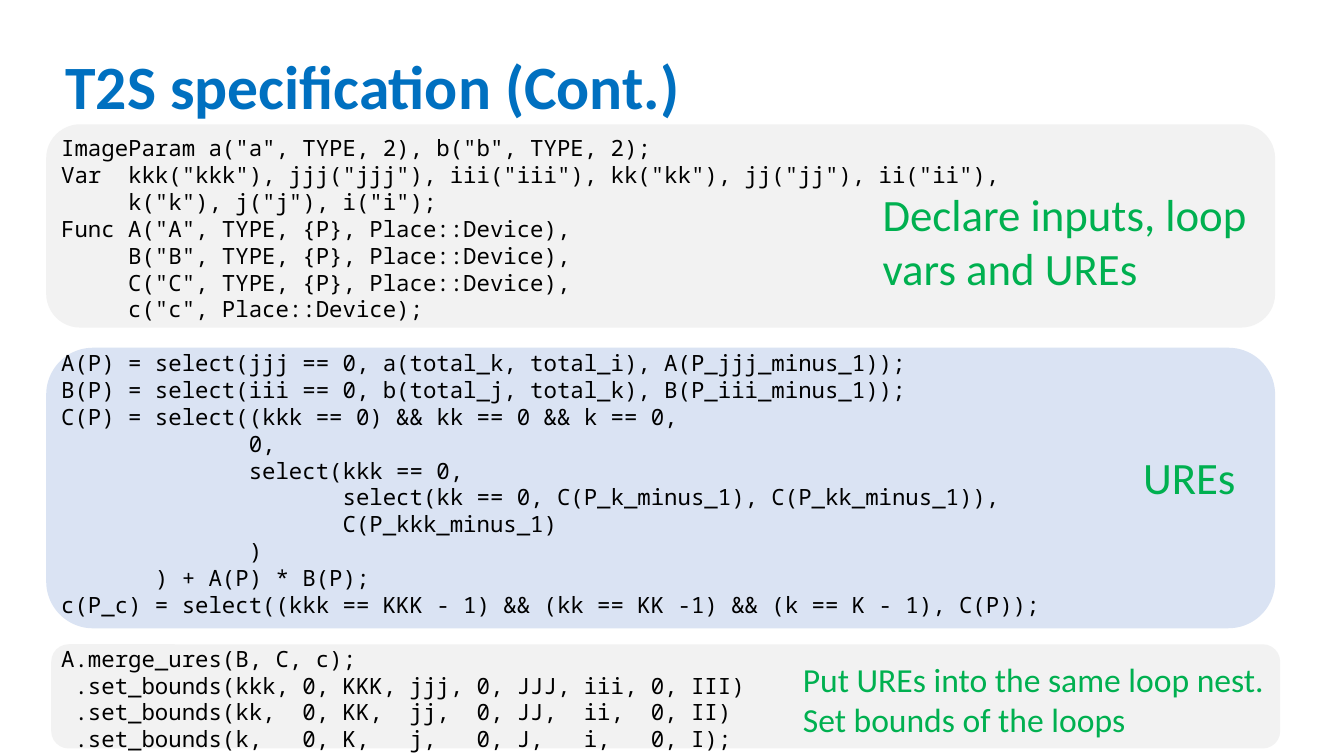
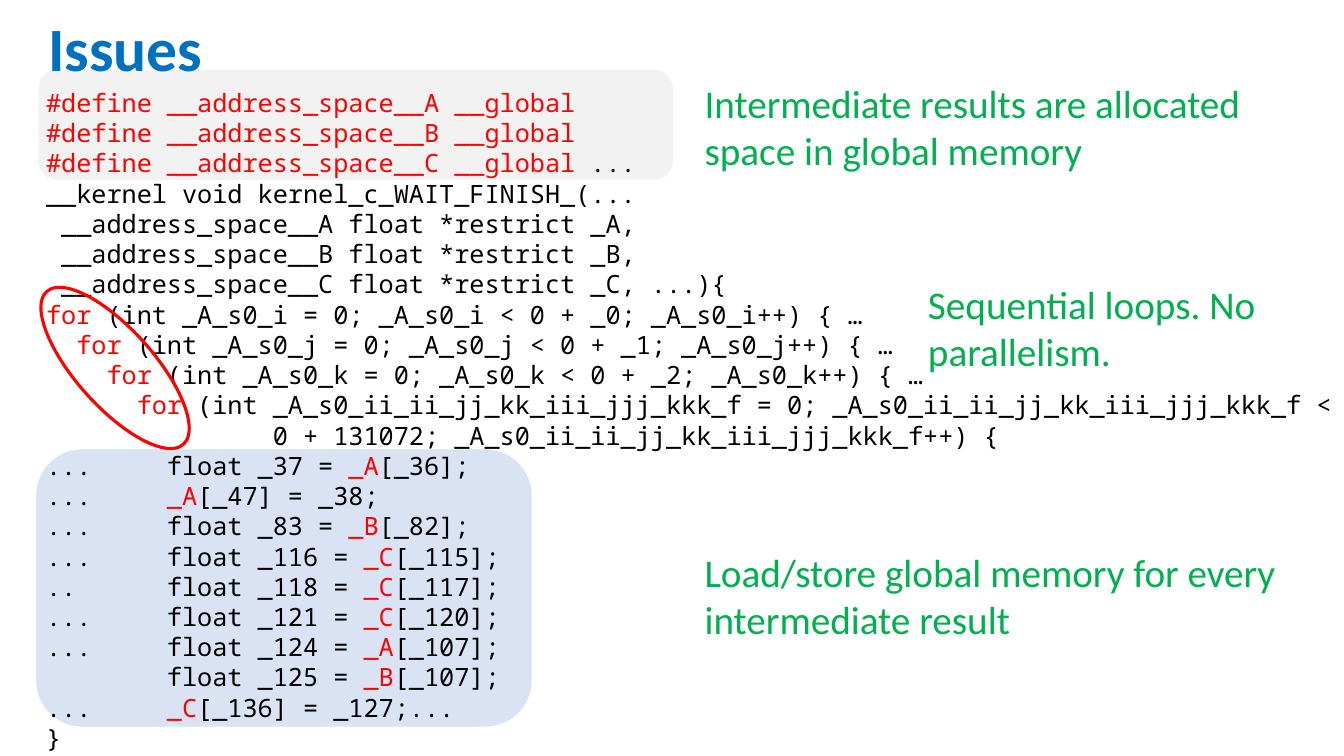
import pptx
import pptx.util
import pptx.dml.color
import pptx.enum.shapes
import pptx.enum.text

Pt = pptx.util.Pt
Kind = pptx.enum.shapes.MSO_SHAPE
Anchor = pptx.enum.text.MSO_ANCHOR


class Theme:
    sans, mono = "Calibri", "Noto Sans Mono"
    blue, green, red, black = "0070C0", "00B050", "FF0000", "000000"
    grey, pale = "F2F2F2", "DAE3F3"
    title, big, mid, small = 44, 32, 28, 24
    pitch = 1.2  # code line height, in type sizes
    mark = "§"  # switches code between black and red


class Deck:
    cols, rows = 160, 90

    def __init__(self):
        self.prs = pptx.Presentation()
        self.prs.slide_width = pptx.util.Inches(13.33)
        self.prs.slide_height = pptx.util.Inches(7.5)
        self.slide = None

    def place(self, x, y, w, h):
        """Turn columns and rows into slide lengths."""
        col = self.prs.slide_width / self.cols
        row = self.prs.slide_height / self.rows
        return [round(n) for n in (x * col, y * row, w * col, h * row)]

    def tint(self, color):
        return pptx.dml.color.RGBColor.from_string(color)

    def run(self, para, text, size, color, face=Theme.sans, bold=False):
        run = para.add_run()
        run.text = text
        font = run.font
        font.name, font.size, font.bold = face, Pt(size), bold
        font.color.rgb = self.tint(color)

    def box(self, at, lines):
        """Add a wrapped text box and return its frame and paragraphs."""
        frame = self.slide.shapes.add_textbox(*self.place(*at)).text_frame
        frame.word_wrap = True
        paras = [frame.paragraphs[0]]
        paras += [frame.add_paragraph() for _ in lines[1:]]
        return frame, paras

    def page(self):
        self.slide = self.prs.slides.add_slide(self.prs.slide_layouts[6])

    def title(self, at, text):
        frame, paras = self.box(at, [text])
        frame.vertical_anchor = Anchor.MIDDLE
        paras[0].line_spacing = 0.9
        self.run(paras[0], text, Theme.title, Theme.blue, bold=True)

    def panel(self, at, fill):
        shape = self.slide.shapes.add_shape(Kind.ROUNDED_RECTANGLE, *self.place(*at))
        shape.shadow.inherit = False
        shape.fill.solid()
        shape.fill.fore_color.rgb = self.tint(fill)
        shape.line.fill.background()

    def ring(self, at, turn):
        shape = self.slide.shapes.add_shape(Kind.OVAL, *self.place(*at))
        shape.shadow.inherit = False
        shape.rotation = turn
        shape.fill.background()
        shape.line.color.rgb = self.tint(Theme.red)
        shape.line.width = Pt(2.25)

    def note(self, at, size, *lines):
        _, paras = self.box(at, lines)
        for para, line in zip(paras, lines):
            self.run(para, line, size, Theme.green)

    def code(self, at, size, parts, gap=0):
        """Set code parts in one box, with a gap in lines between parts."""
        pitch = Pt(size * Theme.pitch)
        lines = [(line, part > 0 and row == 0)
                 for part, text in enumerate(parts)
                 for row, line in enumerate(text.strip("\n").split("\n"))]
        frame, paras = self.box(at, lines)
        frame.margin_right = 0
        for para, (line, first) in zip(paras, lines):
            para.line_spacing = pitch
            if first and gap:
                para.space_before = pitch * gap
            for turn, text in enumerate(line.split(Theme.mark)):
                if text:
                    color = Theme.red if turn % 2 else Theme.black
                    self.run(para, text, size, color, Theme.mono)


# Code shown on the first slide
DECLARE = """
ImageParam a("a", TYPE, 2), b("b", TYPE, 2);
Var  kkk("kkk"), jjj("jjj"), iii("iii"), kk("kk"), jj("jj"), ii("ii"),
     k("k"), j("j"), i("i");
Func A("A", TYPE, {P}, Place::Device),
     B("B", TYPE, {P}, Place::Device),
     C("C", TYPE, {P}, Place::Device),
     c("c", Place::Device);
"""
URES = """
A(P) = select(jjj == 0, a(total_k, total_i), A(P_jjj_minus_1));
B(P) = select(iii == 0, b(total_j, total_k), B(P_iii_minus_1));
C(P) = select((kkk == 0) && kk == 0 && k == 0,
              0,
              select(kkk == 0,
                     select(kk == 0, C(P_k_minus_1), C(P_kk_minus_1)),
                     C(P_kkk_minus_1)
              )
       ) + A(P) * B(P);
c(P_c) = select((kkk == KKK - 1) && (kk == KK -1) && (k == K - 1), C(P));
"""
BOUNDS = """
A.merge_ures(B, C, c);
 .set_bounds(kkk, 0, KKK, jjj, 0, JJJ, iii, 0, III)
 .set_bounds(kk,  0, KK,  jj,  0, JJ,  ii,  0, II)
 .set_bounds(k,   0, K,   j,   0, J,   i,   0, I);
"""

# Code shown on the second slide
KERNEL = """
§#define __address_space__A __global§
§#define __address_space__B __global§
§#define __address_space__C __global §...
__kernel void kernel_c_WAIT_FINISH_(...
 __address_space__A float *restrict _A,
 __address_space__B float *restrict _B,
 __address_space__C float *restrict _C, ...){
"""
LOOPS = """
§for§ (int _A_s0_i = 0; _A_s0_i < 0 + _0; _A_s0_i++) { …
  §for§ (int _A_s0_j = 0; _A_s0_j < 0 + _1; _A_s0_j++) { …
    §for§ (int _A_s0_k = 0; _A_s0_k < 0 + _2; _A_s0_k++) { …
      §for§ (int _A_s0_ii_ii_jj_kk_iii_jjj_kkk_f = 0; _A_s0_ii_ii_jj_kk_iii_jjj_kkk_f <
               0 + 131072; _A_s0_ii_ii_jj_kk_iii_jjj_kkk_f++) {
"""
LOADS = """
...     float _37 = §_A§[_36];
...     §_A§[_47] = _38;
...     float _83 = §_B§[_82];
...     float _116 = §_C§[_115];
..      float _118 = §_C§[_117];
...     float _121 = §_C§[_120];
...     float _124 = §_A§[_107];
        float _125 = §_B§[_107];
...     §_C§[_136] = _127;...
}
"""


def specs(deck):
    deck.page()
    deck.panel((5.5, 14.8, 146.3, 24.2), Theme.grey)
    deck.panel((5.5, 41.4, 146.3, 33.4), Theme.pale)
    deck.panel((6.1, 76.7, 146.3, 12.4), Theme.grey)
    deck.title((6.6, 2, 138, 17.4), "T2S specification (Cont.)")
    deck.code((6.1, 15.4, 153.9, 74.6), 16, [DECLARE, URES, BOUNDS], gap=1)
    deck.note((134.9, 52.9, 16.3, 7.7), Theme.big, "UREs")
    deck.note((94.4, 77.8, 61.8, 10.9), Theme.small,
              "Put UREs into the same loop nest.", "Set bounds of the loops")
    deck.note((103.9, 21.7, 53, 14.2), Theme.big,
              "Declare inputs, loop vars and UREs")


def issues(deck):
    deck.page()
    deck.panel((4.3, 53.5, 59, 33), Theme.pale)
    deck.panel((4.6, 8.3, 75.5, 13.1), Theme.grey)
    deck.title((4.6, 0, 80.5, 12.2), "Issues")
    deck.code((4.3, 9.8, 155.7, 80.2), 18, [KERNEL, LOOPS, LOADS])
    deck.note((82.7, 64.7, 76.8, 12.5), Theme.mid,
              "Load/store global memory for every intermediate result")
    deck.note((82.7, 8.8, 75.7, 12.5), Theme.mid,
              "Intermediate results are allocated space in global memory")
    deck.note((109.3, 32.8, 47, 12.5), Theme.mid,
              "Sequential loops. No parallelism.")
    deck.ring((9.1, 31.6, 9.2, 24.4), 318.2)


def main():
    deck = Deck()
    specs(deck)
    issues(deck)
    deck.prs.save("out.pptx")


if __name__ == "__main__":
    main()
